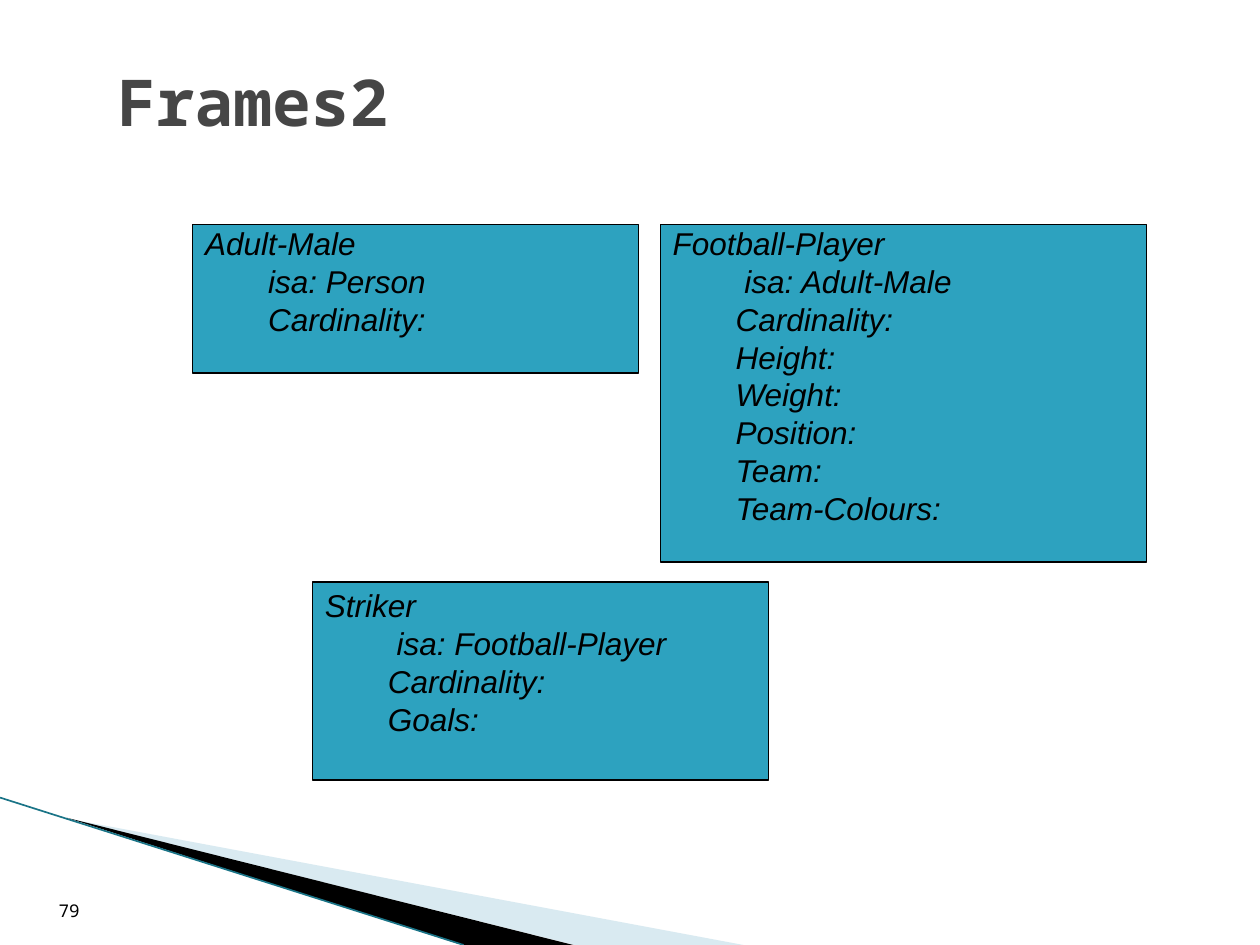
from lxml import etree
from pptx import Presentation
from pptx.dml.color import RGBColor
from pptx.enum.shapes import MSO_CONNECTOR, MSO_SHAPE
from pptx.enum.text import MSO_ANCHOR as ANCHOR, PP_ALIGN as ALIGN
from pptx.oxml.ns import qn
from pptx.util import Inches, Pt

TITLE = "Frames2"
PAGE = "79"
# left, top, width, height, frame name, indent of the isa slot, slots
FRAMES = [
    (1.53, 1.78, 3.54, 1.18, "Adult-Male", 0.5,
     ["isa: Person", "Cardinality:"]),
    (5.24, 1.78, 3.86, 2.68, "Football-Player", 0.57,
     ["isa: Adult-Male", "Cardinality:", "Height:", "Weight:",
      "Position:", "Team:", "Team-Colours:"]),
    (2.48, 4.62, 3.62, 1.57, "Striker", 0.57,
     ["isa: Football-Player", "Cardinality:", "Goals:"]),
]
# fill colour, opacity in percent, corner points
WEDGES = [
    ("pale", 40, [(0.55, 6.5), (5.9, 7.5), (4.56, 7.5)]),
    ("black", 100, [(0.53, 6.49), (4.55, 7.5), (3.67, 7.5)]),
]
COLORS = {"frame": "2DA2BF", "black": "000000", "title": "464646",
          "pale": "A0CBDC", "edge": "1A7487"}
SANS, MONO = "Arial", "Noto Sans Mono"
LINE_HEIGHT = 0.3
SLOT_INDENT = 0.5


def rgb(name):
    return RGBColor.from_string(COLORS[name])


def add_run(p, text, size, font, color="black", bold=False, italic=False):
    r = p.add_run()
    r.text = text
    f = r.font
    f.size, f.name, f.bold, f.italic = Pt(size), font, bold, italic
    f.color.rgb = rgb(color)


def add_wedge(slide, color, opacity, points):
    corners = [(Inches(x), Inches(y)) for x, y in points]
    builder = slide.shapes.build_freeform(*corners[0], scale=1.0)
    builder.add_line_segments(corners[1:], close=True)
    sp = builder.convert_to_shape()
    sp.shadow.inherit = False
    sp.fill.solid()
    sp.fill.fore_color.rgb = rgb(color)
    sp.line.fill.background()
    if opacity < 100:
        clr = sp.fill._xPr.find(".//" + qn("a:srgbClr"))
        etree.SubElement(clr, qn("a:alpha"), val=str(opacity * 1000))


def add_edge(slide):
    line = slide.shapes.add_connector(
        MSO_CONNECTOR.STRAIGHT, 0, Inches(6.33), Inches(3.68), Inches(7.5))
    line.line.color.rgb = rgb("edge")
    line.line.width = Pt(0.95)
    etree.SubElement(line._element.spPr, qn("a:effectLst"))


def add_frame(slide, left, top, width, height, name, isa_indent, slots):
    """Box with a frame name, indented slots and one line of room below."""
    sp = slide.shapes.add_shape(
        MSO_SHAPE.RECTANGLE, *map(Inches, (left, top, width, height)))
    sp.shadow.inherit = False
    sp.fill.solid()
    sp.fill.fore_color.rgb = rgb("frame")
    sp.line.color.rgb = rgb("black")
    sp.line.width = Pt(0.75)

    tf = sp.text_frame
    tf.word_wrap = True
    tf.vertical_anchor = ANCHOR.TOP
    spare = height - (len(slots) + 2) * LINE_HEIGHT
    tf.margin_top = Inches(max(0, spare / 2))
    tf.margin_bottom = 0

    indents = [0, isa_indent] + [SLOT_INDENT] * (len(slots) - 1)
    for i, (text, indent) in enumerate(zip([name] + slots, indents)):
        p = tf.add_paragraph() if i else tf.paragraphs[0]
        p.alignment = ALIGN.LEFT
        p.line_spacing = Inches(LINE_HEIGHT)
        if indent:
            p.level = 1
            pPr = p._p.get_or_add_pPr()
            pPr.set("marL", str(Inches(indent)))
            pPr.set("indent", "0")
        add_run(p, text, 18, SANS, italic=True)


def add_title(slide):
    title = slide.shapes.title
    title.left, title.top = Inches(0.83), Inches(0.44)
    title.width, title.height = Inches(8.67), Inches(0.71)
    tf = title.text_frame
    tf.vertical_anchor = ANCHOR.MIDDLE
    p = tf.paragraphs[0]
    p.alignment = ALIGN.LEFT
    add_run(p, TITLE, 36.9, MONO, "title", bold=True)


def add_page_number(slide):
    box = slide.shapes.add_textbox(*map(Inches, (0.09, 6.83, 0.64, 0.53)))
    tf = box.text_frame
    tf.word_wrap = True
    tf.vertical_anchor = ANCHOR.BOTTOM
    p = tf.paragraphs[0]
    p.alignment = ALIGN.RIGHT
    add_run(p, PAGE, 10, MONO)


def main():
    prs = Presentation()
    prs.slide_width, prs.slide_height = Inches(10), Inches(7.5)
    slide = prs.slides.add_slide(prs.slide_layouts[5])
    for wedge in WEDGES:
        add_wedge(slide, *wedge)
    add_edge(slide)
    add_title(slide)
    add_page_number(slide)
    for frame in FRAMES:
        add_frame(slide, *frame)
    prs.save("out.pptx")


if __name__ == "__main__":
    main()
